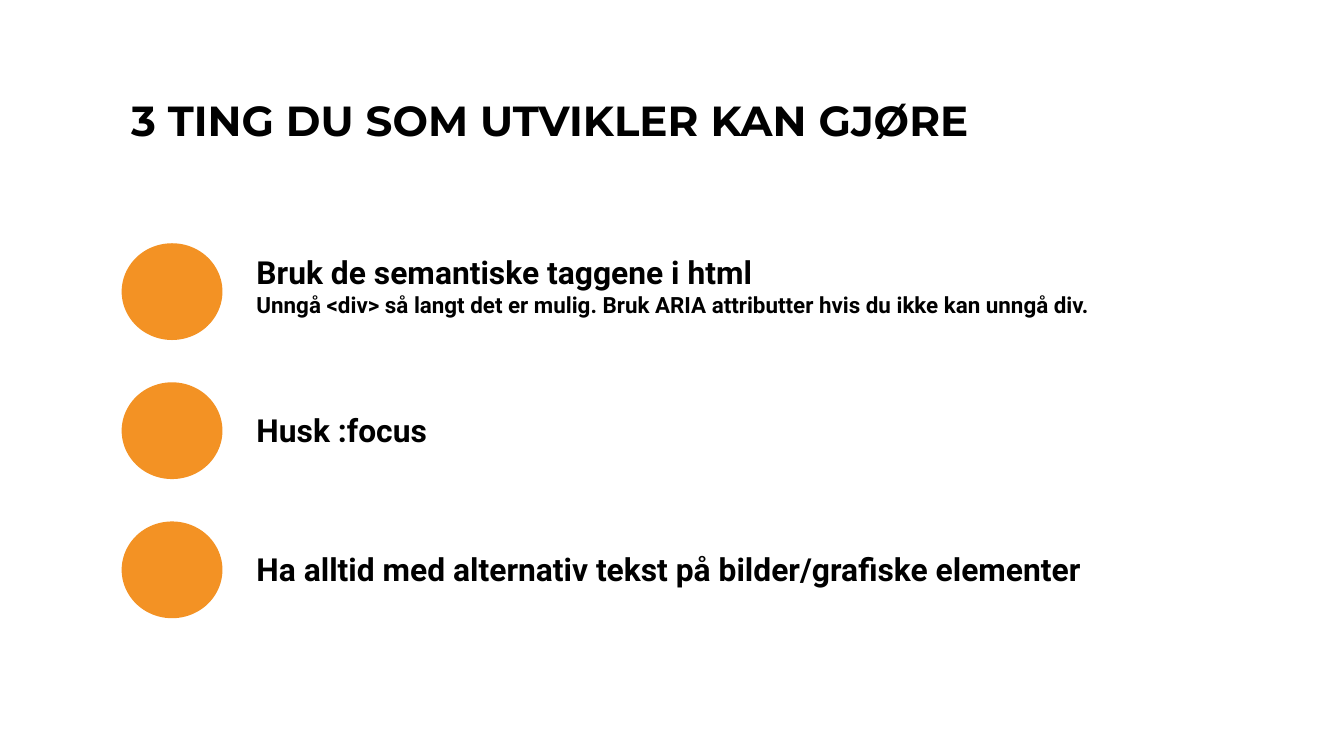
from dataclasses import dataclass

from pptx import Presentation
from pptx.dml.color import RGBColor
from pptx.enum.shapes import MSO_SHAPE
from pptx.enum.text import MSO_ANCHOR, MSO_AUTO_SIZE, PP_ALIGN
from pptx.util import Emu, Pt

OVAL = MSO_SHAPE.OVAL
TOP = MSO_ANCHOR.TOP
LEFT = PP_ALIGN.LEFT
NO_FIT = MSO_AUTO_SIZE.NONE
GROW = MSO_AUTO_SIZE.SHAPE_TO_FIT_TEXT

PX = 4572  # EMU, 200 px to the inch
TITLE_ONLY = 5


@dataclass(frozen=True)
class Theme:
    ink: RGBColor = RGBColor(0x00, 0x00, 0x00)
    accent: RGBColor = RGBColor(0xF3, 0x92, 0x24)
    title_font: str = "Montserrat"
    body_font: str = "Roboto"
    title_size: float = 22.5
    heading_size: float = 17
    detail_size: float = 12


THEME = Theme()

TITLE = "3 TING DU SOM UTVIKLER KAN GJØRE"
TIPS = [
    ("Bruk de semantiske taggene i html",
     "Unngå <div> så langt det er mulig. "
     "Bruk ARIA attributter hvis du ikke kan unngå div."),
    ("Husk :focus",),
    ("Ha alltid med alternativ tekst på bilder/grafiske elementer",),
]


def px(*lengths):
    return [Emu(length * PX) for length in lengths]


def style_span(span, font, size):
    span.font.name = font
    span.font.size = Pt(size)
    span.font.bold = True
    span.font.color.rgb = THEME.ink


def place_title(page, left, top, width, height):
    title = page.shapes.title
    title.left, title.top, title.width, title.height = px(left, top, width, height)
    frame = title.text_frame
    frame.text = TITLE
    frame.word_wrap = True
    frame.auto_size = NO_FIT
    frame.vertical_anchor = TOP
    frame.margin_left, frame.margin_right = px(14, 14)
    frame.margin_top, frame.margin_bottom = px(8, 8)
    para = frame.paragraphs[0]
    para.alignment = LEFT
    para.line_spacing = 0.9
    style_span(para.runs[0], THEME.title_font, THEME.title_size)


def add_tip(page, lines, left, top, width):
    """Draw a round marker with a heading, and any detail line, to its right."""
    marker = page.shapes.add_shape(OVAL, *px(left, top, 150, 144))
    marker.shadow.inherit = False
    marker.fill.solid()
    marker.fill.fore_color.rgb = THEME.accent
    marker.line.fill.background()

    text_top, text_height = (5, 118) if len(lines) > 1 else (32, 78)
    box = page.shapes.add_textbox(
        *px(left + 181, top + text_top, width - 181, text_height))
    frame = box.text_frame
    frame.word_wrap = True
    frame.auto_size = GROW
    para = frame.paragraphs[0]
    para.text = "\v".join(lines)
    for span, size in zip(para.runs, (THEME.heading_size, THEME.detail_size)):
        style_span(span, THEME.body_font, size)


def add_tips(page, left, top, width, pitch):
    for row, lines in enumerate(TIPS):
        add_tip(page, lines, left, top + row * pitch, width)


def main():
    deck = Presentation()
    deck.slide_width, deck.slide_height = px(2000, 1125)
    page = deck.slides.add_slide(deck.slide_layouts[TITLE_ONLY])
    place_title(page, 181, 141, 1382, 102)
    add_tips(page, 181, 362, 1639, 207)
    deck.save("out.pptx")


if __name__ == "__main__":
    main()
